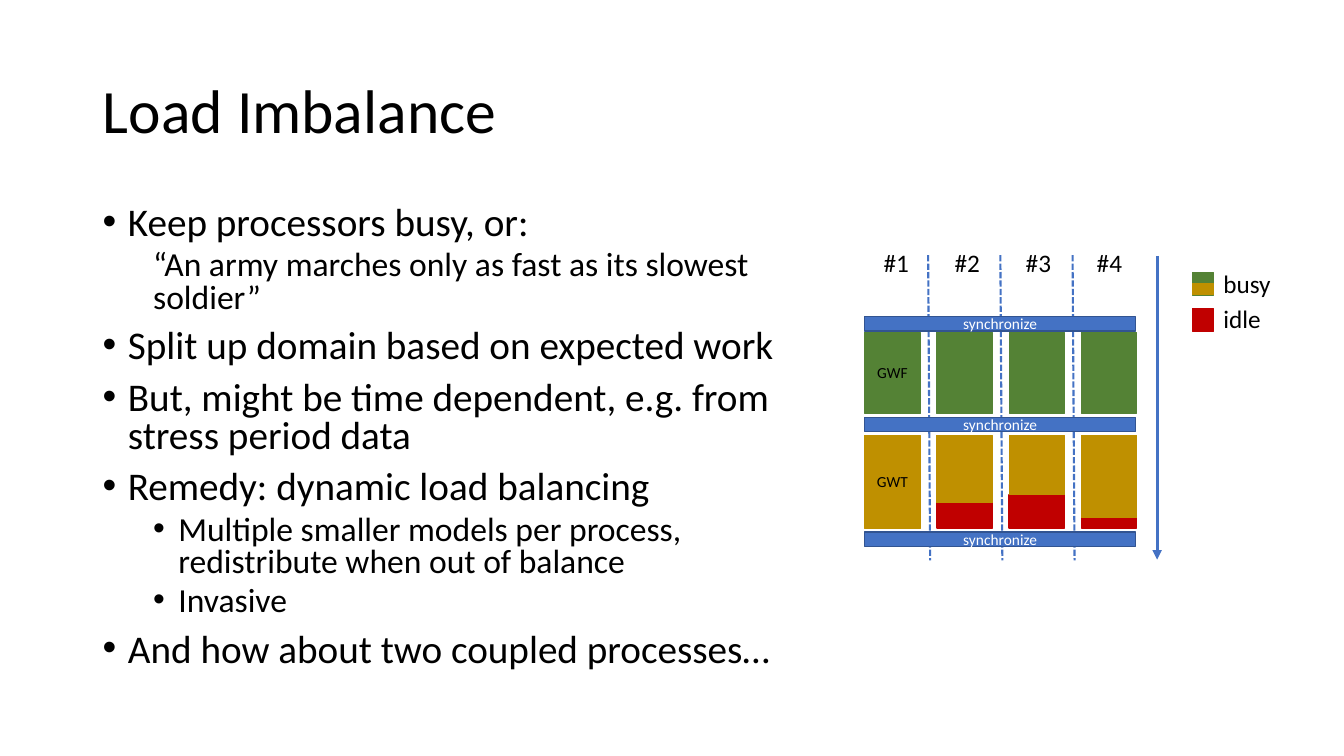
import lxml.etree
import pptx
import pptx.dml.color
import pptx.enum.dml
import pptx.enum.shapes
import pptx.enum.text
import pptx.oxml.ns
import pptx.util
from pptx.util import Cm

Align = pptx.enum.text.PP_ALIGN
Anchor = pptx.enum.text.MSO_ANCHOR

BLUE, NAVY, GREEN, GOLD, RED = "4472C4", "325491", "548235", "BF9000", "C00000"
BLACK, WHITE = "000000", "FFFFFF"

# Text, level, bulleted
OUTLINE = [
    ("Keep processors busy, or:", 0, True),
    ("“An army marches only as fast as its slowest soldier”", 1, False),
    ("Split up domain based on expected work", 0, True),
    ("But, might be time dependent, e.g. from stress period data", 0, True),
    ("Remedy: dynamic load balancing", 0, True),
    ("Multiple smaller models per process, redistribute when out of balance", 1, True),
    ("Invasive", 1, True),
    ("And how about two coupled processes…", 0, True),
]

# Diagram measures in centimetres
LEFT, PITCH, BOX_W = 21.79, 1.82, 1.4
GWF_TOP, GWF_H = 8.38, 2.03
GWT_TOP, GWT_BOTTOM = 10.97, 13.31
GWT_BUSY = [2.34, 1.7, 1.5, 2.08]
SYNC_TOPS = [7.98, 10.52, 13.41]
SYNC_W, SYNC_H = 6.83, 0.36
LEGEND_X, SWATCH_W, SWATCH_H = 30.05, 0.53, 0.58


def rgb(color):
    return pptx.dml.color.RGBColor.from_string(color)


def sub(parent, tag, **attrs):
    return lxml.etree.SubElement(parent, pptx.oxml.ns.qn(tag), attrs)


def write(p, text, size=18, color=BLACK, align=Align.LEFT, spacing=None, before=None):
    p.alignment = align
    p.line_spacing = spacing
    p.space_before = None if before is None else pptx.util.Pt(before)
    r = p.add_run()
    r.text = text
    r.font.name = "Calibri"
    r.font.size = pptx.util.Pt(size)
    r.font.color.rgb = rgb(color)


def indent(p, level, bulleted):
    """Set the hanging indent, with a bullet sign if there is one."""
    p.level = level
    pPr = p._p.get_or_add_pPr()
    hang = Cm(0.635) if bulleted else 0
    pPr.set("marL", str(Cm(1.27 * level) + hang))
    pPr.set("indent", str(-hang))
    if bulleted:
        sub(pPr, "a:buFont", typeface="Arial")
        sub(pPr, "a:buChar", char="•")
    else:
        sub(pPr, "a:buNone")


def add_title(s, text):
    sp = s.shapes.title
    sp.left, sp.top, sp.width, sp.height = Cm(2.34), Cm(1.02), Cm(29.21), Cm(3.68)
    tf = sp.text_frame
    tf.vertical_anchor = Anchor.MIDDLE
    write(tf.paragraphs[0], text, size=44, spacing=0.9)


def add_outline(s):
    tf = s.shapes.add_textbox(Cm(2.34), Cm(5.08), Cm(17.45), Cm(13.39)).text_frame
    tf.word_wrap = True
    for i, (text, level, bulleted) in enumerate(OUTLINE):
        p = tf.add_paragraph() if i else tf.paragraphs[0]
        write(p, text, size=28 - 4 * level, spacing=0.8, before=10 - 5 * level)
        indent(p, level, bulleted)


def add_label(s, x, y, w, text, wrap=True):
    tf = s.shapes.add_textbox(Cm(x), Cm(y), Cm(w), Cm(1.02)).text_frame
    tf.word_wrap = wrap
    write(tf.paragraphs[0], text)


def add_box(s, x, y, w, h, fill, line=None, weight=0.5, text="", color=BLACK):
    sp = s.shapes.add_shape(pptx.enum.shapes.MSO_SHAPE.RECTANGLE, Cm(x), Cm(y), Cm(w), Cm(h))
    sp.shadow.inherit = False
    sp.fill.solid()
    sp.fill.fore_color.rgb = rgb(fill)
    sp.line.color.rgb = rgb(line or fill)
    sp.line.width = pptx.util.Pt(weight)
    if text:
        tf = sp.text_frame
        tf.margin_top = tf.margin_bottom = 0
        tf.vertical_anchor = Anchor.MIDDLE
        write(tf.paragraphs[0], text, size=11, color=color, align=Align.CENTER)


def add_line(s, x1, y1, x2, y2, weight, dashed=False, arrow=False):
    c = s.shapes.add_connector(pptx.enum.shapes.MSO_CONNECTOR.STRAIGHT, Cm(x1), Cm(y1), Cm(x2), Cm(y2))
    c.line.color.rgb = rgb(BLUE)
    c.line.width = pptx.util.Pt(weight)
    if dashed:
        c.line.dash_style = pptx.enum.dml.MSO_LINE.SQUARE_DOT
    if arrow:
        sub(c.line._get_or_add_ln(), "a:tailEnd", type="triangle")
    sub(c._element.spPr, "a:effectLst")


def add_diagram(s):
    for i, busy in enumerate(GWT_BUSY):
        x = LEFT + i * PITCH
        idle = GWT_BOTTOM - GWT_TOP - busy
        if idle > 0.01:
            add_box(s, x, GWT_TOP + busy, BOX_W, idle, RED, weight=1)
        add_box(s, x, GWT_TOP, BOX_W, busy, GOLD, text="" if i else "GWT")
        add_box(s, x, GWF_TOP, BOX_W, GWF_H, GREEN, text="" if i else "GWF")
        add_label(s, 22.02 + 1.79 * i, 6.12, 1.17, f"#{i + 1}", wrap=False)
    for i in range(len(GWT_BUSY) - 1):
        x = 23.39 + i * PITCH
        add_line(s, x, 6.43, x + 0.05, 14.12, 1.5, dashed=True)
    for y in SYNC_TOPS:
        add_box(s, LEFT, y, SYNC_W, SYNC_H, BLUE, NAVY, 1, "synchronize", WHITE)
    add_line(s, 29.16, 6.45, 29.16, 14.1, 2.25, arrow=True)


def add_legend(s):
    add_box(s, LEGEND_X, 6.86, SWATCH_W, SWATCH_H, GREEN)
    add_box(s, LEGEND_X, 7.14, SWATCH_W, SWATCH_H / 2, GOLD)
    add_box(s, LEGEND_X, 7.77, SWATCH_W, SWATCH_H, RED, weight=1)
    for y, text in [(6.63, "busy"), (7.52, "idle")]:
        add_label(s, LEGEND_X + SWATCH_W, y, 1.73, text)


def main():
    prs = pptx.Presentation()
    prs.slide_width, prs.slide_height = Cm(33.87), Cm(19.05)
    s = prs.slides.add_slide(prs.slide_layouts.get_by_name("Title Only"))
    add_title(s, "Load Imbalance")
    add_outline(s)
    add_diagram(s)
    add_legend(s)
    prs.save("out.pptx")


if __name__ == "__main__":
    main()
